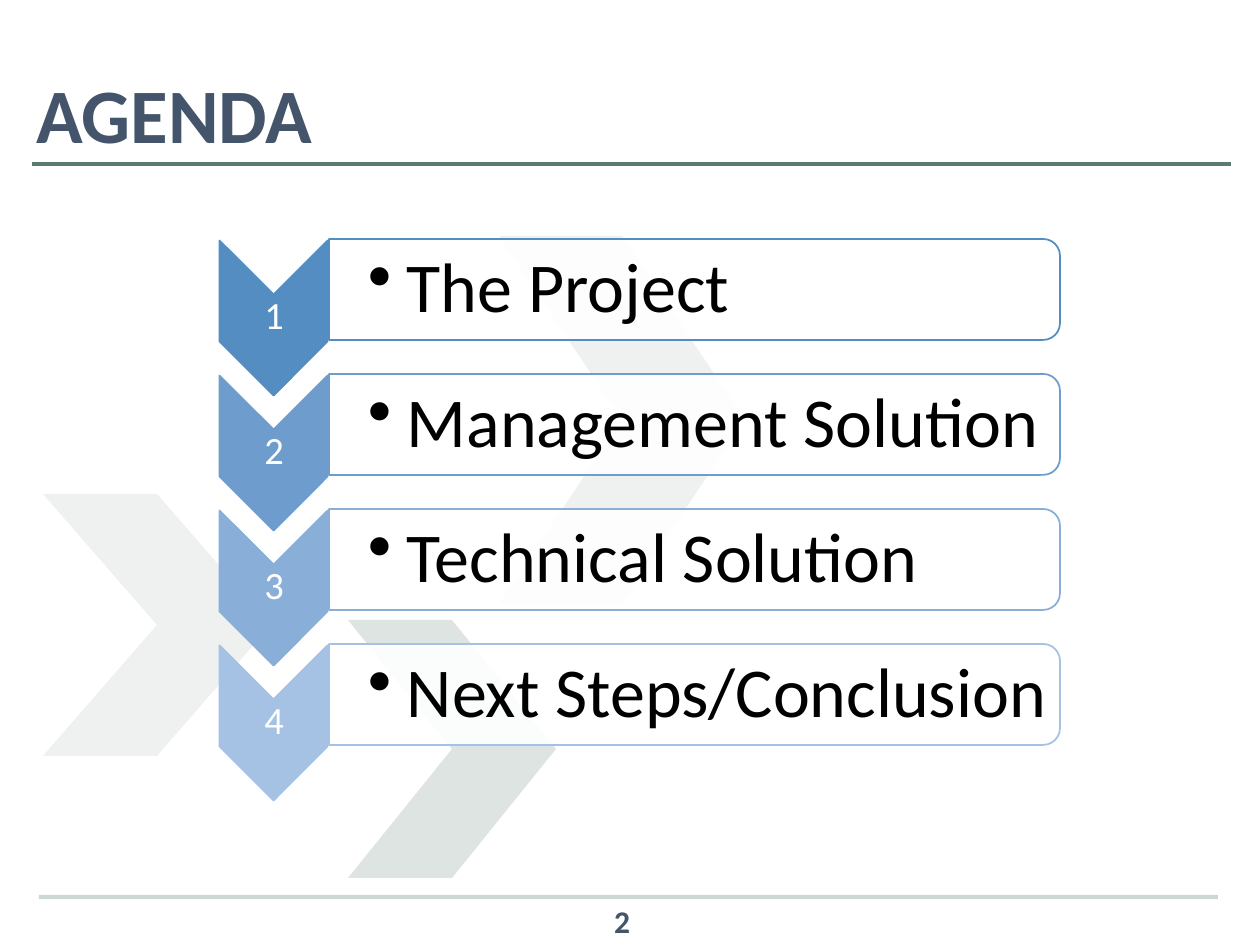
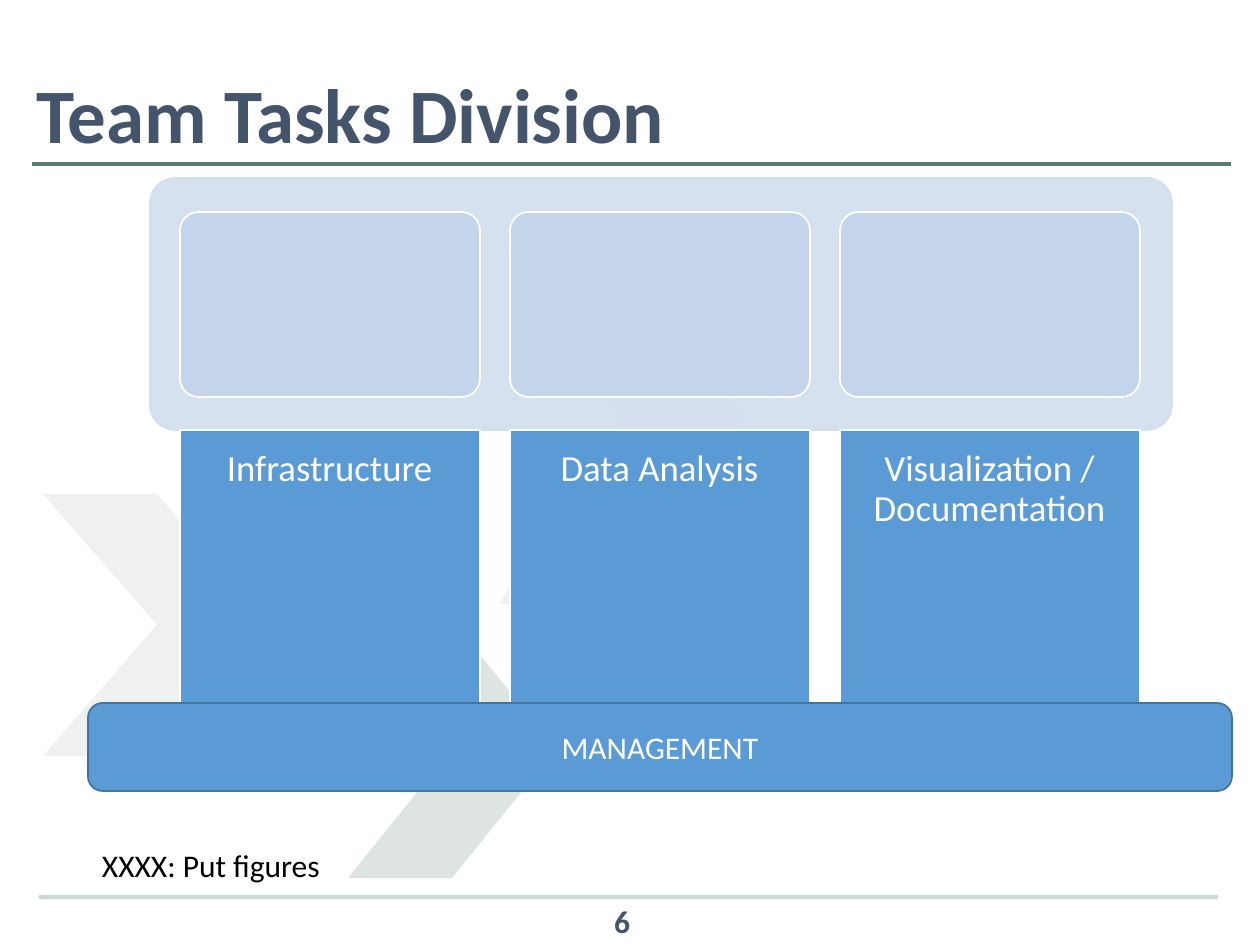
from dataclasses import dataclass

from lxml import etree
from pptx import Presentation
from pptx.dml.color import RGBColor
from pptx.enum.shapes import MSO_CONNECTOR, MSO_SHAPE
from pptx.enum.text import MSO_ANCHOR, PP_ALIGN
from pptx.util import Emu, Pt

CHEVRON = MSO_SHAPE.CHEVRON
ROUNDED = MSO_SHAPE.ROUNDED_RECTANGLE
ROUND_TOP = MSO_SHAPE.ROUND_2_SAME_RECTANGLE
STRAIGHT = MSO_CONNECTOR.STRAIGHT
LEFT, CENTER = PP_ALIGN.LEFT, PP_ALIGN.CENTER
TOP, MIDDLE = MSO_ANCHOR.TOP, MSO_ANCHOR.MIDDLE

FONT = "Calibri"
GREEN, SLATE, BLUE, DARK_BLUE = "5A7C6E", "44546A", "5B9BD5", "43739E"
PANEL, CARD, WHITE, BLACK = "D2DEEF", "C4D5EB", "FFFFFF", "000000"

EMU_PER_PX = 914400 / 126
A = "http://schemas.openxmlformats.org/drawingml/2006/main"


@dataclass
class Box:
    left: int
    top: int
    width: int
    height: int

    def shifted(self, dx: int = 0, dy: int = 0) -> "Box":
        return Box(self.left + dx, self.top + dy, self.width, self.height)

    def turned(self) -> "Box":
        """The box which covers this one after a quarter turn."""
        shift = (self.width - self.height) // 2
        return Box(self.left + shift, self.top - shift, self.height, self.width)

    def emu(self) -> tuple[Emu, ...]:
        return tuple(px(n) for n in (self.left, self.top, self.width, self.height))


@dataclass
class Look:
    fill: str
    line: str | None = None
    fill_alpha: int = 100
    line_alpha: int = 100


@dataclass
class TextStyle:
    size: int
    color: str
    bold: bool = False
    align: PP_ALIGN = CENTER
    anchor: MSO_ANCHOR = MIDDLE
    insets: tuple[int, int, int, int] = (13, 6, 13, 6)
    spacing: float = 1.0


@dataclass
class AgendaItem:
    text: str
    color: str


TITLE = TextStyle(44, SLATE, bold=True, align=LEFT, spacing=0.9)
PAGE_NUMBER = TextStyle(18, SLATE, bold=True)
STEP_NUMBER = TextStyle(22, WHITE, insets=(2, 2, 2, 2), spacing=0.9)
STEP_TEXT = TextStyle(40, BLACK, align=LEFT, insets=(39, 4, 4, 4), spacing=0.9)
COLUMN_TEXT = TextStyle(21, WHITE, anchor=TOP, insets=(20, 20, 20, 20), spacing=0.9)
BAR_TEXT = TextStyle(18, WHITE)
NOTE = TextStyle(18, BLACK, align=LEFT, anchor=TOP)

BACKGROUND_CHEVRONS = [
    (Box(43, 494, 228, 262), 10),
    (Box(348, 620, 208, 258), 20),
    (Box(499, 236, 246, 368), 10),
]
AGENDA = [
    AgendaItem("The Project", "538DC1"),
    AgendaItem("Management Solution", "6E9DCD"),
    AgendaItem("Technical Solution", "89AFD8"),
    AgendaItem("Next Steps/Conclusion", "A5C1E3"),
]
TEAMS = ["Infrastructure", "Data Analysis", "Visualization / Documentation"]


# Helpers
def px(n: int) -> Emu:
    return Emu(round(n * EMU_PER_PX))


def rgb(color: str) -> RGBColor:
    return RGBColor.from_string(color)


def set_alpha(sp, where: str, percent: int) -> None:
    if percent < 100:
        color = sp._element.spPr.find(f"{where}a:solidFill/a:srgbClr", {"a": A})
        etree.SubElement(color, f"{{{A}}}alpha", val=str(percent * 1000))


def add_shape(slide, kind, box: Box, look: Look, rotation: int = 0,
              adjustments: tuple[float, ...] = ()):
    sp = slide.shapes.add_shape(kind, *box.emu())
    sp.shadow.inherit = False
    sp.rotation = rotation
    for i, value in enumerate(adjustments):
        sp.adjustments[i] = value
    sp.fill.solid()
    sp.fill.fore_color.rgb = rgb(look.fill)
    set_alpha(sp, "", look.fill_alpha)
    if look.line:
        sp.line.color.rgb = rgb(look.line)
        sp.line.width = Pt(1)
        set_alpha(sp, "a:ln/", look.line_alpha)
    else:
        sp.line.fill.background()
    return sp


def write(sp, text: str, style: TextStyle):
    tf = sp.text_frame
    tf.word_wrap = True
    tf.vertical_anchor = style.anchor
    (tf.margin_left, tf.margin_top,
     tf.margin_right, tf.margin_bottom) = map(px, style.insets)
    tf.text = text
    p = tf.paragraphs[0]
    p.alignment = style.align
    p.line_spacing = style.spacing
    p.font.name = FONT
    p.font.size = Pt(style.size)
    p.font.bold = style.bold
    p.font.color.rgb = rgb(style.color)
    return p


def add_text(slide, box: Box, text: str, style: TextStyle):
    return write(slide.shapes.add_textbox(*box.emu()), text, style)


def add_bullet(p, indent: int) -> None:
    pPr = p._p.get_or_add_pPr()
    pPr.set("marL", str(px(indent)))
    pPr.set("indent", str(-px(indent)))
    bullet = etree.Element(f"{{{A}}}buChar", char="•")
    pPr.find(f"{{{A}}}defRPr").addprevious(bullet)


def add_rule(slide, left: int, right: int, y: int, alpha: int = 100) -> None:
    line = slide.shapes.add_connector(STRAIGHT, px(left), px(y), px(right), px(y))
    line.line.color.rgb = rgb(GREEN)
    line.line.width = Pt(2.5)
    set_alpha(line, "a:ln/", alpha)
    etree.SubElement(line._element.spPr, f"{{{A}}}effectLst")


# Shared frame: rules, background chevrons, page number and title
def add_slide(prs, title: str, number: int):
    slide = prs.slides.add_slide(prs.slide_layouts[5])
    add_rule(slide, 32, 1231, 164)
    for box, alpha in BACKGROUND_CHEVRONS:
        add_shape(slide, CHEVRON, box, Look(GREEN, fill_alpha=alpha))
    add_text(slide, Box(480, 896, 284, 50), str(number), PAGE_NUMBER)
    add_rule(slide, 39, 1218, 897, alpha=30)
    sp = slide.shapes.title
    sp.left, sp.top, sp.width, sp.height = Box(23, 60, 1086, 117).emu()
    write(sp, title, TITLE)
    return slide


# Agenda: numbered chevrons, each with a bar to its right
def build_agenda(prs) -> None:
    slide = add_slide(prs, "AGENDA", 2)
    for i, item in enumerate(AGENDA):
        dy = 135 * i
        arrow = Box(220, 240, 108, 155).shifted(dy=dy)
        bar = Box(329, 239, 731, 101).shifted(dy=dy)
        add_shape(slide, CHEVRON, arrow.turned(), Look(item.color, item.color), 90)
        add_text(slide, Box(220, 294, 108, 47).shifted(dy=dy), str(i + 1), STEP_NUMBER)
        add_shape(slide, ROUND_TOP, bar.turned(),
                  Look(WHITE, item.color, fill_alpha=90), 90)
        p = add_text(slide, Box(329, 244, 726, 91).shifted(dy=dy), item.text, STEP_TEXT)
        add_bullet(p, 39)


# Team tasks: a panel of cards, a column under each, one bar below all
def build_team_tasks(prs) -> None:
    slide = add_slide(prs, "Team Tasks Division", 6)
    add_shape(slide, ROUNDED, Box(150, 178, 1022, 252),
              Look(PANEL, PANEL, 90, 90), adjustments=(0.1,))
    for i, team in enumerate(TEAMS):
        dx = 330 * i
        add_shape(slide, ROUNDED, Box(180, 212, 300, 185).shifted(dx),
                  Look(CARD, WHITE), adjustments=(0.1,))
        add_shape(slide, ROUND_TOP, Box(180, 430, 300, 307).shifted(dx),
                  Look(BLUE, WHITE), 180, (0.105, 0))
        add_text(slide, Box(189, 430, 281, 299).shifted(dx), team, COLUMN_TEXT)
    add_text(slide, Box(89, 840, 1082, 89), "XXXX: Put figures", NOTE)
    bar = add_shape(slide, ROUNDED, Box(88, 703, 1144, 88), Look(BLUE, DARK_BLUE))
    write(bar, "MANAGEMENT", BAR_TEXT)


prs = Presentation()
prs.slide_width, prs.slide_height = px(1260), px(945)
build_agenda(prs)
build_team_tasks(prs)
prs.save("out.pptx")
